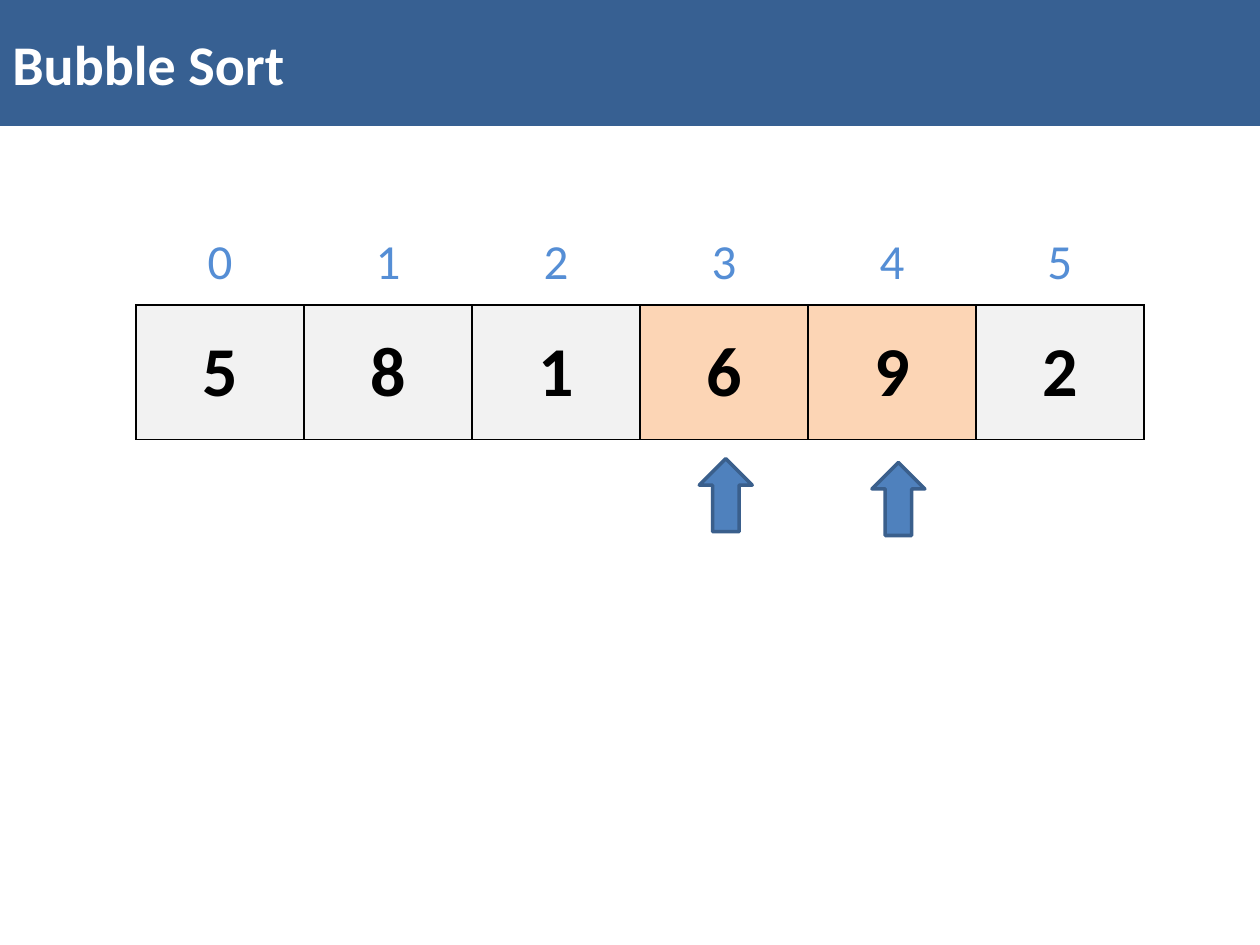
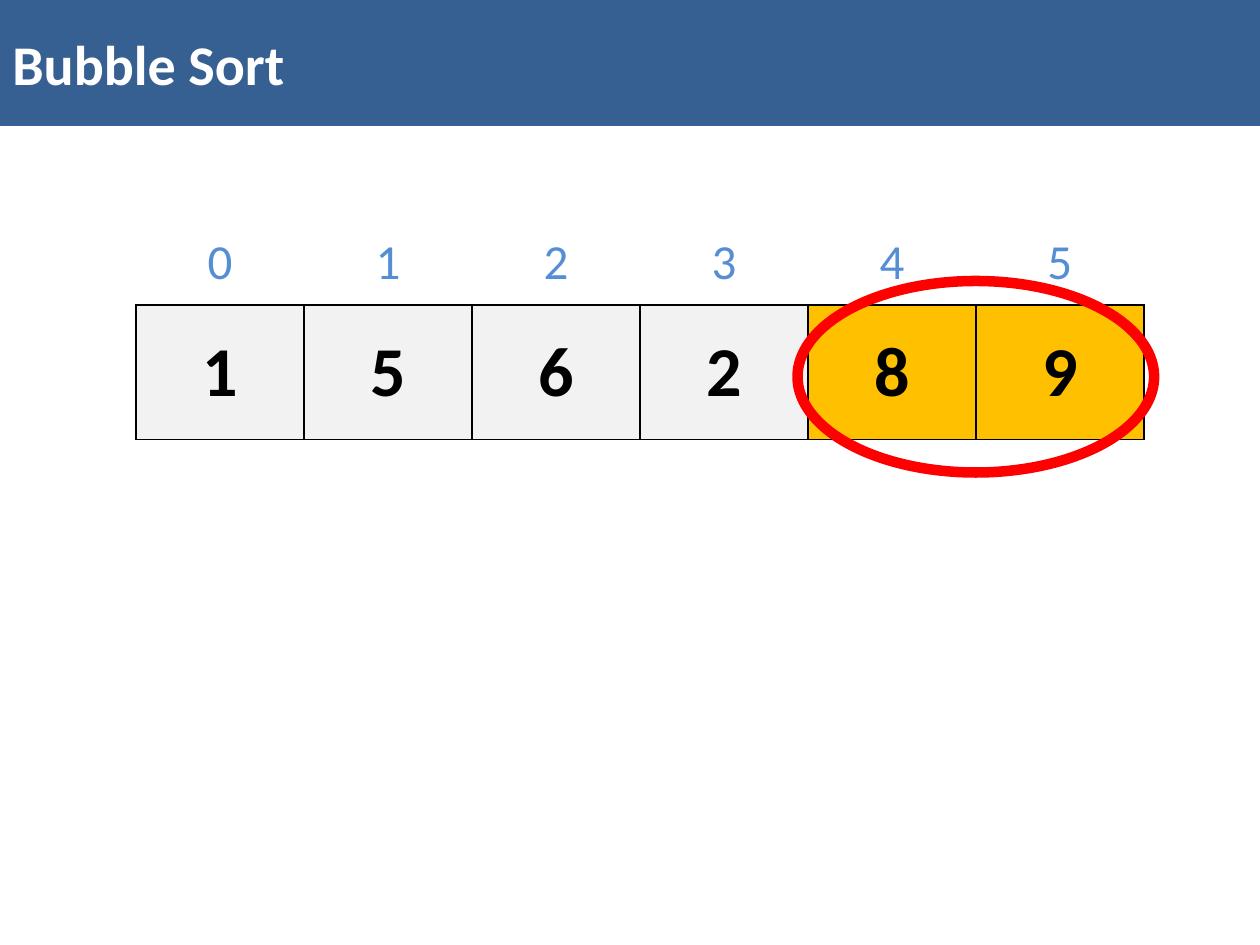
from lxml import etree
from pptx import Presentation
from pptx.dml.color import RGBColor
from pptx.enum.shapes import MSO_SHAPE
from pptx.enum.text import MSO_ANCHOR, PP_ALIGN
from pptx.oxml.ns import qn
from pptx.util import Inches, Pt

RECTANGLE, ELLIPSE, DOWN_ARROW = MSO_SHAPE.RECTANGLE, MSO_SHAPE.OVAL, MSO_SHAPE.DOWN_ARROW
MIDDLE = MSO_ANCHOR.MIDDLE
LEFT, CENTER = PP_ALIGN.LEFT, PP_ALIGN.CENTER

BAND_BLUE = RGBColor(0x37, 0x60, 0x92)
INDEX_BLUE = RGBColor(0x55, 0x8E, 0xD5)
ARROW_BLUE = RGBColor(0x4F, 0x81, 0xBD)
ARROW_EDGE = RGBColor(0x3A, 0x5F, 0x8C)
WHITE = RGBColor(0xFF, 0xFF, 0xFF)
BLACK = RGBColor(0x00, 0x00, 0x00)
GREY = RGBColor(0xF2, 0xF2, 0xF2)
PEACH = RGBColor(0xFC, 0xD5, 0xB5)
GOLD = RGBColor(0xFF, 0xC0, 0x00)
RED = RGBColor(0xFF, 0x00, 0x00)

FONT = "Calibri"
ROW_LEFT, ROW_WIDTH = 1.08, 8

STEPS = [
    {"values": [5, 8, 1, 6, 9, 2], "marked": (3, 4), "mark": PEACH,
     "arrows": [(5.55, 3.64), (6.92, 3.67)], "rings": []},
    {"values": [1, 5, 6, 2, 8, 9], "marked": (4, 5), "mark": GOLD,
     "arrows": [], "rings": [(6.33, 2.23)]},
]


def style_text(frame, size, color, bold, align):
    para = frame.paragraphs[0]
    para.alignment = align
    for span in para.runs:
        span.font.name = FONT
        span.font.size = Pt(size)
        span.font.bold = bold
        span.font.color.rgb = color


def add_row(page, top, height, values, fills, size, color, bold, border):
    table = page.shapes.add_table(1, len(values), Inches(ROW_LEFT), Inches(top),
                                  Inches(ROW_WIDTH), Inches(height)).table
    table.first_row = False
    table.horz_banding = False
    for cell, value, fill in zip(table.rows[0].cells, values, fills):
        cell.text_frame.text = str(value)
        cell.vertical_anchor = MIDDLE
        style_text(cell.text_frame, size, color, bold, CENTER)
        properties = cell._tc.get_or_add_tcPr()
        for side in ("a:lnL", "a:lnR", "a:lnT", "a:lnB"):
            edge = etree.SubElement(properties, qn(side), w=str(Pt(1)))
            if border is None:
                etree.SubElement(edge, qn("a:noFill"))
            else:
                paint = etree.SubElement(edge, qn("a:solidFill"))
                etree.SubElement(paint, qn("a:srgbClr"), val=str(border))
        if fill is None:
            cell.fill.background()
        else:
            cell.fill.solid()
            cell.fill.fore_color.rgb = fill


deck = Presentation()
deck.slide_width = Inches(10)
deck.slide_height = Inches(7.5)

for step in STEPS:
    page = deck.slides.add_slide(deck.slide_layouts[6])

    band = page.shapes.add_shape(RECTANGLE, 0, 0, deck.slide_width, Inches(1))
    band.shadow.inherit = False
    band.fill.solid()
    band.fill.fore_color.rgb = BAND_BLUE
    band.line.fill.background()
    band.text_frame.text = "Bubble Sort"
    band.text_frame.vertical_anchor = MIDDLE
    style_text(band.text_frame, 32, WHITE, True, LEFT)

    values = step["values"]
    count = len(values)
    fills = [step["mark"] if i in step["marked"] else GREY for i in range(count)]
    add_row(page, 2.42, 1.07, values, fills, 40, BLACK, True, BLACK)
    add_row(page, 1.75, 0.67, range(count), [None] * count, 28, INDEX_BLUE, False, None)

    for left, top in step["arrows"]:
        arrow = page.shapes.add_shape(DOWN_ARROW, Inches(left), Inches(top),
                                      Inches(0.42), Inches(0.58))
        arrow.rotation = 180
        arrow.shadow.inherit = False
        arrow.fill.solid()
        arrow.fill.fore_color.rgb = ARROW_BLUE
        arrow.line.color.rgb = ARROW_EDGE
        arrow.line.width = Pt(2)

    for left, top in step["rings"]:
        ring = page.shapes.add_shape(ELLIPSE, Inches(left), Inches(top),
                                     Inches(2.83), Inches(1.52))
        ring.shadow.inherit = False
        ring.fill.background()
        ring.line.color.rgb = RED
        ring.line.width = Pt(6)

deck.save("out.pptx")
